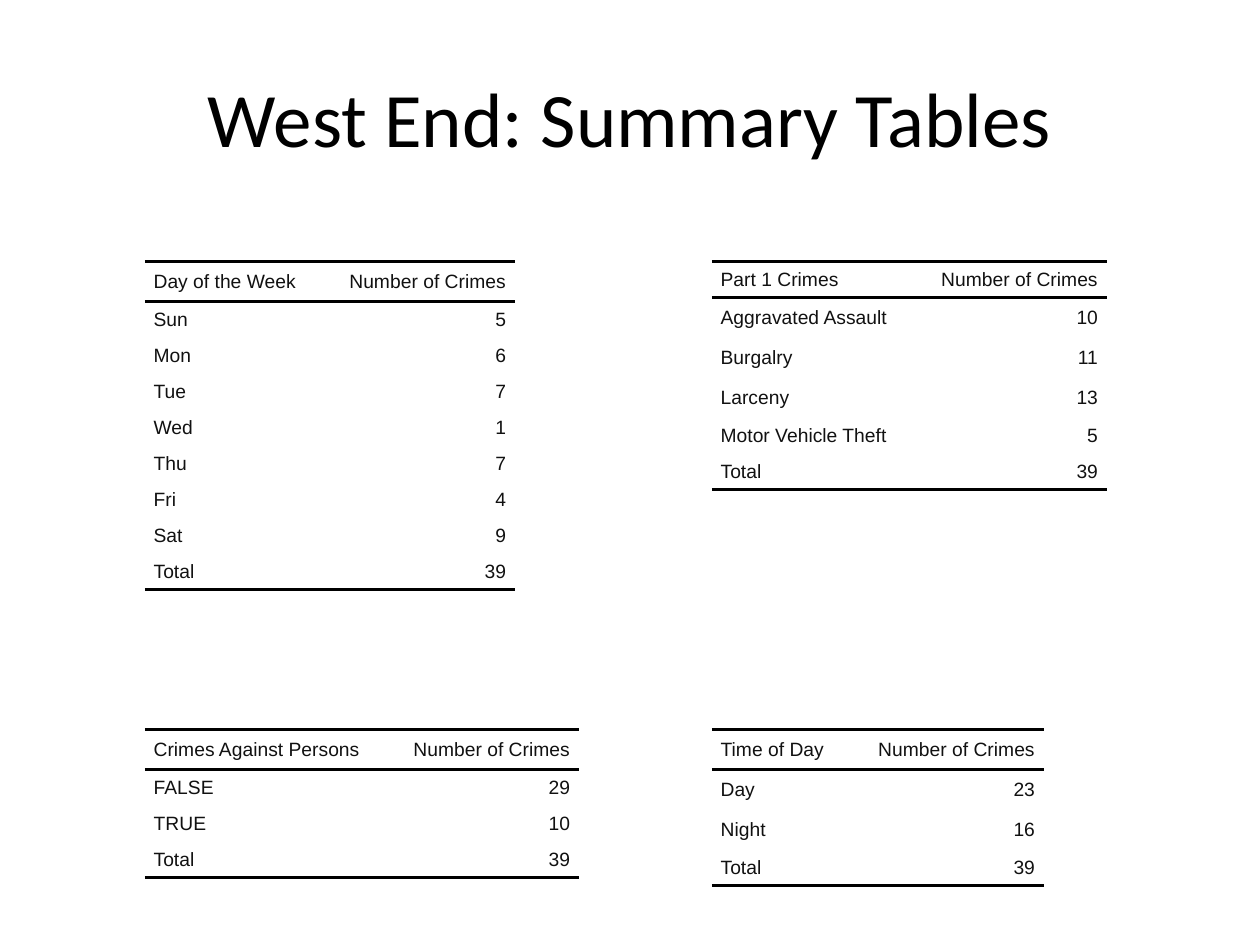
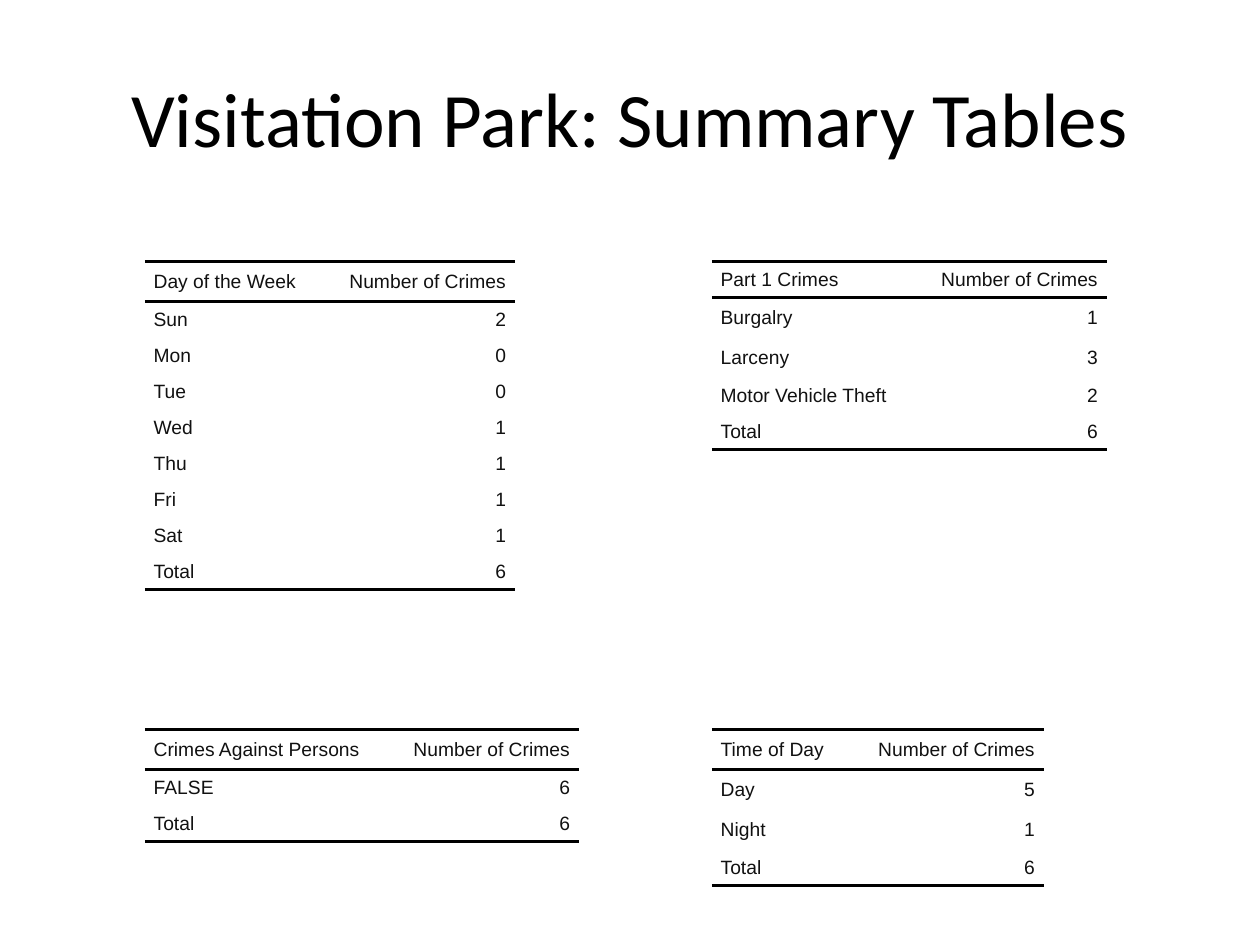
from dataclasses import dataclass
from lxml.etree import SubElement
from pptx import Presentation
from pptx.dml.color import RGBColor as RGB
from pptx.enum.text import MSO_ANCHOR as ANCHOR, PP_ALIGN as ALIGN
from pptx.oxml.ns import qn
from pptx.util import Pt

COUNT_HEADING = "Number of Crimes"
DAYS = ["Sun", "Mon", "Tue", "Wed", "Thu", "Fri", "Sat"]

SLIDES = [
    ("West End: Summary Tables", {
        "Part 1 Crimes": [("Aggravated Assault", 10), ("Burgalry", 11),
                          ("Larceny", 13), ("Motor Vehicle Theft", 5)],
        "Day of the Week": list(zip(DAYS, [5, 6, 7, 1, 7, 4, 9])),
        "Crimes Against Persons": [("FALSE", 29), ("TRUE", 10)],
        "Time of Day": [("Day", 23), ("Night", 16)],
    }),
    ("Visitation Park: Summary Tables", {
        "Part 1 Crimes": [("Burgalry", 1), ("Larceny", 3), ("Motor Vehicle Theft", 2)],
        "Day of the Week": list(zip(DAYS, [2, 0, 0, 1, 1, 1, 1])),
        "Crimes Against Persons": [("FALSE", 6)],
        "Time of Day": [("Day", 5), ("Night", 1)],
    }),
]

LEFT, RIGHT = 82.8, 406.8
TOP, BOTTOM = 149.5, 417
PLACES = {
    "Part 1 Crimes": (RIGHT, TOP, 116),
    "Day of the Week": (LEFT, TOP, 101.8),
    "Crimes Against Persons": (LEFT, BOTTOM, 138.4),
    "Time of Day": (RIGHT, BOTTOM, 80),
}
COUNT_WIDTH = 109.6
ROW, TALL_ROW = 20.57, 22.86
TALL_LABELS = {"Day of the Week", "Crimes Against Persons", "Time of Day",
               "Day", "Night", "Aggravated Assault", "Burgalry", "Larceny"}
PLAIN_STYLE = "{2D5ABB26-0587-4C30-8999-92F81FD0307C}"


@dataclass(frozen=True)
class Theme:
    title_font: str = "Calibri"
    title_size: float = 44
    title_color: str = "000000"
    cell_font: str = "Arial"
    cell_size: float = 11
    cell_color: str = "111111"
    rule_color: str = "000000"
    rule_width: float = 2
    cell_inset: float = 5


THEME = Theme()


def set_text(tf, text, font, size, color, align):
    p = tf.paragraphs[0]
    p.text = text
    p.alignment = align
    p.font.name = font
    p.font.size = Pt(size)
    p.font.color.rgb = RGB.from_string(color)


def add_title(s, text):
    tf = s.shapes.add_textbox(Pt(36), Pt(21.6), Pt(648), Pt(90)).text_frame
    tf.word_wrap = True
    tf.vertical_anchor = ANCHOR.MIDDLE
    set_text(tf, text, THEME.title_font, THEME.title_size, THEME.title_color, ALIGN.CENTER)


def add_rule(cell, side):
    ln = SubElement(cell._tc.get_or_add_tcPr(), qn(f"a:{side}"), w=str(Pt(THEME.rule_width)))
    fill = SubElement(ln, qn("a:solidFill"))
    SubElement(fill, qn("a:srgbClr"), val=THEME.rule_color)


def fill_cell(cell, text, align, sides):
    cell.margin_left = cell.margin_right = Pt(THEME.cell_inset)
    cell.margin_top = cell.margin_bottom = 0
    cell.vertical_anchor = ANCHOR.MIDDLE
    set_text(cell.text_frame, text, THEME.cell_font, THEME.cell_size, THEME.cell_color, align)
    for side in sides:
        add_rule(cell, side)
    cell.fill.background()


def add_summary(s, heading, counts):
    total = sum(n for _, n in counts)
    rows = [(heading, COUNT_HEADING), *counts, ("Total", total)]
    heights = [TALL_ROW if label in TALL_LABELS else ROW for label, _ in rows]
    x, y, label_width = PLACES[heading]
    widths = [label_width, COUNT_WIDTH]
    table = s.shapes.add_table(len(rows), 2, Pt(x), Pt(y),
                               Pt(sum(widths)), Pt(sum(heights))).table
    table.first_row = table.horz_banding = False
    table._tbl.tblPr.find(qn("a:tableStyleId")).text = PLAIN_STYLE
    for col, width in zip(table.columns, widths):
        col.width = Pt(width)
    rules = {0: ["lnT", "lnB"], len(rows) - 1: ["lnB"]}
    for i, (row, height) in enumerate(zip(rows, heights)):
        table.rows[i].height = Pt(height)
        for j, align in enumerate([ALIGN.LEFT, ALIGN.RIGHT]):
            fill_cell(table.cell(i, j), str(row[j]), align, rules.get(i, []))


def main():
    prs = Presentation()
    prs.slide_width, prs.slide_height = Pt(720), Pt(540)
    for title, tables in SLIDES:
        s = prs.slides.add_slide(prs.slide_layouts[6])
        add_title(s, title)
        for heading, counts in tables.items():
            add_summary(s, heading, counts)
    prs.save("out.pptx")


if __name__ == "__main__":
    main()
